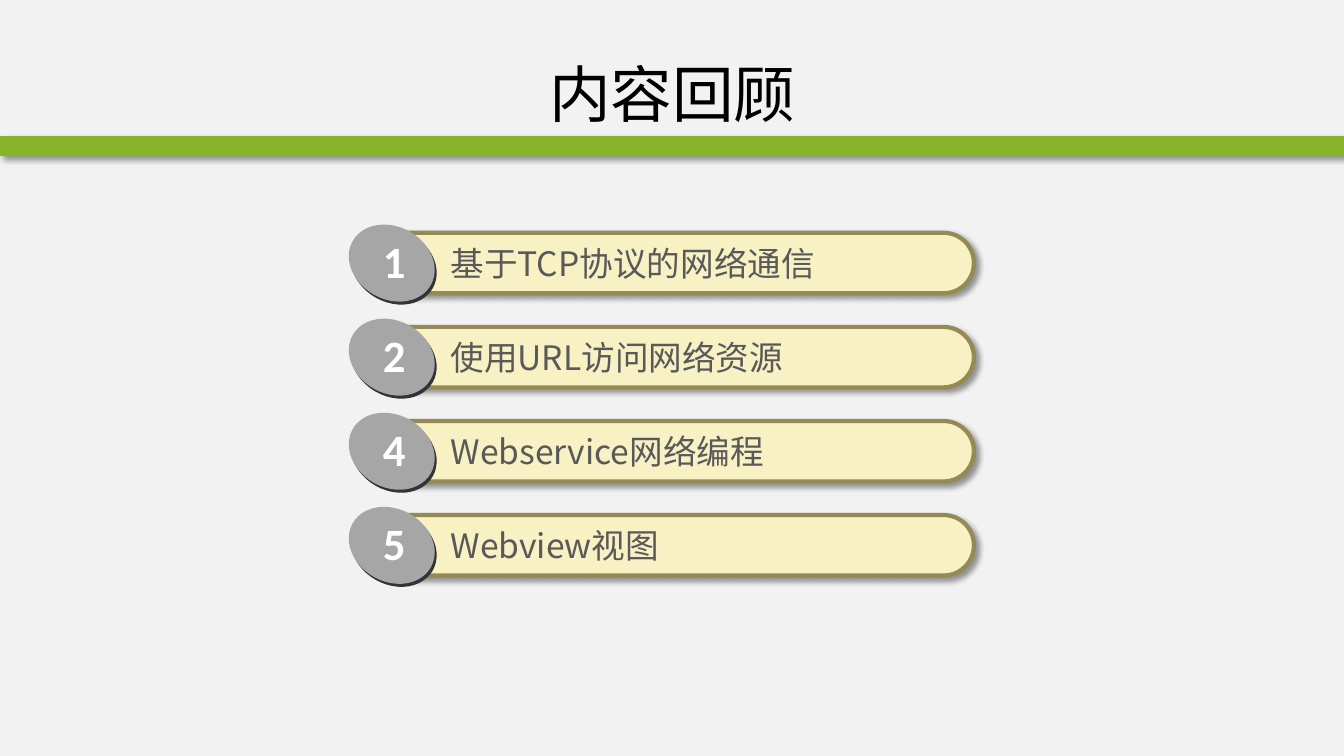
"""Build the review slide: a title, a green bar and four numbered topics."""
import dataclasses

import lxml.etree
import pptx
import pptx.dml.color
import pptx.enum.shapes
import pptx.enum.text
import pptx.oxml.ns
import pptx.util

Inches = pptx.util.Inches
Shapes = pptx.enum.shapes.MSO_SHAPE
Align = pptx.enum.text.PP_ALIGN
Anchor = pptx.enum.text.MSO_ANCHOR
AutoSize = pptx.enum.text.MSO_AUTO_SIZE


@dataclasses.dataclass(frozen=True)
class Theme:
    """Colours, fonts and type sizes of the slide."""
    background: str = "F2F2F2"
    bar: str = "88B429"
    pill: str = "F7F1C4"
    pill_line: str = "948A54"
    badge: str = "A6A6A6"
    badge_edge: str = "333333"
    shadow: str = "000000"
    title: str = "000000"
    topic: str = "595959"
    number: str = "FFFFFF"
    text_font: str = "Noto Sans CJK SC"
    number_font: str = "Calibri"
    title_size: int = 44
    topic_size: int = 24
    number_size: int = 32


THEME = Theme()
TOPICS = [
    ("1", "基于TCP协议的网络通信"),
    ("2", "使用URL访问网络资源"),
    ("4", "Webservice网络编程"),
    ("5", "Webview视图"),
]
FIRST_TOP, LAST_TOP = 2.31, 5.11


def rgb(value):
    """Turn a hex string into a colour."""
    return pptx.dml.color.RGBColor.from_string(value)


def set_format(target, values):
    """Set every attribute named in a dict of format values."""
    for name, value in values.items():
        setattr(target, name, value)


def add_shadow(shape):
    """Give a shape a soft shadow towards the lower right."""
    effects = shape._element.spPr.find(pptx.oxml.ns.qn("a:effectLst"))
    shadow = lxml.etree.SubElement(
        effects, pptx.oxml.ns.qn("a:outerShdw"), blurRad=str(pptx.util.Pt(4)),
        dist=str(pptx.util.Pt(3)), dir="2700000", algn="tl", rotWithShape="0")
    colour = lxml.etree.SubElement(
        shadow, pptx.oxml.ns.qn("a:srgbClr"), val=THEME.shadow)
    lxml.etree.SubElement(colour, pptx.oxml.ns.qn("a:alpha"), val="40000")


def add_shape(parent, kind, place, fill, line=None):
    """Add a filled preset shape with an optional outline."""
    shape = parent.shapes.add_shape(kind, *map(Inches, place))
    shape.shadow.inherit = False
    shape.fill.solid()
    shape.fill.fore_color.rgb = rgb(fill)
    if line:
        shape.line.color.rgb = rgb(line)
        shape.line.width = pptx.util.Pt(3)
    else:
        shape.line.fill.background()
    return shape


def write(box, text, font, size, colour, bold=False, align=Align.LEFT):
    """Write one formatted paragraph into a box."""
    para = box.text_frame.paragraphs[0]
    para.alignment = align
    span = para.add_run()
    span.text = text
    set_format(span.font, {"name": font, "size": pptx.util.Pt(size), "bold": bold})
    span.font.color.rgb = rgb(colour)
    latin = span.font._element.find(pptx.oxml.ns.qn("a:latin"))
    east_asian = lxml.etree.Element(pptx.oxml.ns.qn("a:ea"), typeface=font)
    latin.addnext(east_asian)


def add_text(parent, place, wrap, *style, **options):
    """Add a text box holding one paragraph."""
    box = parent.shapes.add_textbox(*map(Inches, place))
    set_format(box.text_frame,
               {"word_wrap": wrap, "auto_size": AutoSize.SHAPE_TO_FIT_TEXT})
    write(box, *style, **options)


def add_topic(page, top, number, topic):
    """Add a grouped topic: pill, text and numbered badge."""
    group = page.shapes.add_group_shape()
    pill = add_shape(group, Shapes.ROUNDED_RECTANGLE, (3.66, top, 6, 0.6),
                     THEME.pill, THEME.pill_line)
    pill.adjustments[0] = 0.5
    add_shadow(pill)
    add_text(group, (4.37, top + 0.05, 5.09, 0.5), True,
             topic, THEME.text_font, THEME.topic_size, THEME.topic)
    for left, lift, fill in ((3.46, 0.03, THEME.badge_edge),
                             (3.44, 0.06, THEME.badge)):
        badge = add_shape(group, Shapes.OVAL, (left, top - lift, 0.89, 0.72), fill)
        badge.rotation = 29.3
    add_text(group, (3.7, top - 0.04, 0.43, 0.64), False,
             number, THEME.number_font, THEME.number_size, THEME.number, bold=True)


def add_title(page, text):
    """Place and fill the title placeholder."""
    title = page.shapes.title
    set_format(title, {"left": Inches(0.67), "top": Inches(0.3),
                       "width": Inches(12), "height": Inches(1.25)})
    set_format(title.text_frame, {"vertical_anchor": Anchor.MIDDLE,
                                  "auto_size": AutoSize.NONE, "word_wrap": True})
    write(title, text, THEME.text_font, THEME.title_size, THEME.title,
          align=Align.CENTER)


def main():
    """Build and save the deck."""
    deck = pptx.Presentation()
    set_format(deck, {"slide_width": Inches(13.33), "slide_height": Inches(7.5)})
    page = deck.slides.add_slide(deck.slide_layouts[5])
    page.background.fill.solid()
    page.background.fill.fore_color.rgb = rgb(THEME.background)
    add_shadow(add_shape(page, Shapes.RECTANGLE, (0, 1.35, 13.33, 0.2), THEME.bar))
    add_title(page, "内容回顾")
    pitch = (LAST_TOP - FIRST_TOP) / (len(TOPICS) - 1)
    for index, (number, topic) in enumerate(TOPICS):
        add_topic(page, FIRST_TOP + index * pitch, number, topic)
    deck.save("out.pptx")


if __name__ == "__main__":
    main()
